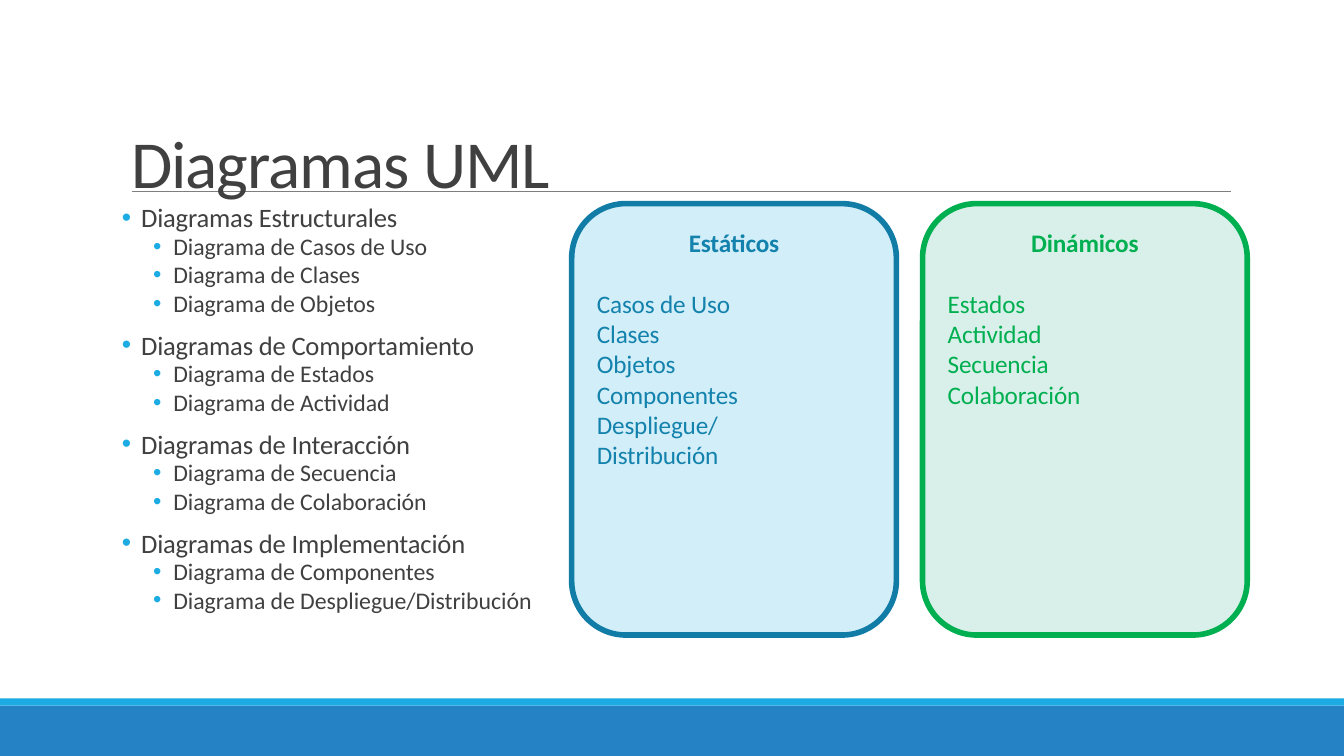
from dataclasses import dataclass

from lxml import etree
from pptx import Presentation
from pptx.dml.color import RGBColor
from pptx.enum.shapes import MSO_CONNECTOR as Connector, MSO_SHAPE as Preset
from pptx.enum.text import PP_ALIGN as Align
from pptx.oxml.ns import qn
from pptx.util import Inches, Pt


@dataclass(frozen=True)
class Theme:
    font: str = "Calibri"
    ink: str = "404040"
    rule: str = "7E7E7E"
    accent: str = "1CACE3"
    footer: str = "2583C5"
    static_fill: str = "D2EEF9"
    static_line: str = "117DA7"
    static_text: str = "1382AC"
    dynamic_fill: str = "D9F0EA"
    dynamic: str = "00AF50"
    title_size: int = 48
    topic_size: int = 19
    item_size: int = 17
    card_size: int = 18


THEME = Theme()

OUTLINE = {
    "Diagramas Estructurales": ["Casos de Uso", "Clases", "Objetos"],
    "Diagramas de Comportamiento": ["Estados", "Actividad"],
    "Diagramas de Interacción": ["Secuencia", "Colaboración"],
    "Diagramas de Implementación": ["Componentes", "Despliegue/Distribución"],
}
STATIC = ["Casos de Uso", "Clases", "Objetos", "Componentes", "Despliegue/Distribución"]
DYNAMIC = ["Estados", "Actividad", "Secuencia", "Colaboración"]


def color(code):
    return RGBColor.from_string(code)


def add_text_frame(slide, left, top, width, height):
    box = slide.shapes.add_textbox(Inches(left), Inches(top), Inches(width), Inches(height))
    frame = box.text_frame
    frame.word_wrap = True
    frame.margin_left = frame.margin_right = frame.margin_top = frame.margin_bottom = 0
    return frame


def write(frame, text, *, size, ink=THEME.ink, bold=False, align=Align.LEFT,
          tracking=-0.1, leading=None, before=0):
    """Fill the empty first paragraph, or append a new one."""
    first = frame.paragraphs[0]
    paragraph = frame.add_paragraph() if first.runs else first
    paragraph.alignment = align
    paragraph.space_before = Pt(before)
    if leading:
        paragraph.line_spacing = Pt(leading)
    run = paragraph.add_run()
    run.text = text
    run.font.name = THEME.font
    run.font.size = Pt(size)
    run.font.bold = bold
    run.font.color.rgb = color(ink)
    run.font._element.set("spc", str(round(tracking * 100)))
    return paragraph


def add_bullet(paragraph, indent, hanging, level=0):
    paragraph.level = level
    properties = paragraph._p.get_or_add_pPr()
    properties.set("marL", str(Inches(indent)))
    properties.set("indent", str(-Inches(hanging)))
    bullet_color = etree.SubElement(properties, qn("a:buClr"))
    etree.SubElement(bullet_color, qn("a:srgbClr"), val=THEME.accent)
    etree.SubElement(properties, qn("a:buFont"), typeface="Arial")
    etree.SubElement(properties, qn("a:buChar"), char="•")


def add_block(slide, preset, left, top, width, height, fill, line=None):
    shape = slide.shapes.add_shape(
        preset, Inches(left), Inches(top), Inches(width), Inches(height))
    shape.shadow.inherit = False
    shape.fill.solid()
    shape.fill.fore_color.rgb = color(fill)
    if line:
        shape.line.color.rgb = color(line)
        shape.line.width = Pt(4)
    else:
        shape.line.fill.background()
    return shape


def add_rule(slide, left, right, top):
    rule = slide.shapes.add_connector(
        Connector.STRAIGHT, Inches(left), Inches(top), Inches(right), Inches(top))
    rule.line.color.rgb = color(THEME.rule)
    rule.line.width = Pt(0.5)
    etree.SubElement(rule._element.spPr, qn("a:effectLst"))


def add_outline(slide):
    frame = add_text_frame(slide, 1.19, 2.01, 4.3, 4.06)
    for topic_index, (topic, items) in enumerate(OUTLINE.items()):
        paragraph = write(frame, topic, size=THEME.topic_size, leading=21.8,
                          before=9.2 if topic_index else 0)
        add_bullet(paragraph, 0.21, 0.19)
        for item_index, item in enumerate(items):
            paragraph = write(frame, f"Diagrama de {item}", size=THEME.item_size,
                              tracking=-0.05, leading=20.4 if item_index else 19.3)
            add_bullet(paragraph, 0.53, 0.2, level=1)


def add_card(slide, left, heading, items, fill, line, ink):
    width = 3.22
    card = add_block(slide, Preset.ROUNDED_RECTANGLE, left, 2.02, width, 4.28, fill, line)
    card.adjustments[0] = 0.167
    write(add_text_frame(slide, left, 2.26, width, 0.28), heading,
          size=THEME.card_size, ink=ink, bold=True, align=Align.CENTER)
    frame = add_text_frame(slide, left + 0.25, 2.86, 1.6, 1.48)
    for item in items:
        write(frame, item, size=THEME.card_size, ink=ink, leading=21.6)


def main():
    presentation = Presentation()
    presentation.slide_width = Inches(13.33)
    presentation.slide_height = Inches(7.5)
    slide = presentation.slides.add_slide(presentation.slide_layouts[6])

    # Footer bands
    add_block(slide, Preset.RECTANGLE, 0, 7, 13.33, 0.5, THEME.footer)
    add_block(slide, Preset.RECTANGLE, 0, 6.93, 13.33, 0.07, THEME.accent)

    # Title
    add_rule(slide, 1.31, 12.21, 1.9)
    write(add_text_frame(slide, 1.3, 1.2, 11.07, 0.69), "Diagramas UML",
          size=THEME.title_size, tracking=-0.7)

    # Diagram families and the two cards
    add_outline(slide)
    add_card(slide, 5.67, "Estáticos", STATIC,
             THEME.static_fill, THEME.static_line, THEME.static_text)
    add_card(slide, 9.15, "Dinámicos", DYNAMIC,
             THEME.dynamic_fill, THEME.dynamic, THEME.dynamic)

    presentation.save("out.pptx")


if __name__ == "__main__":
    main()
